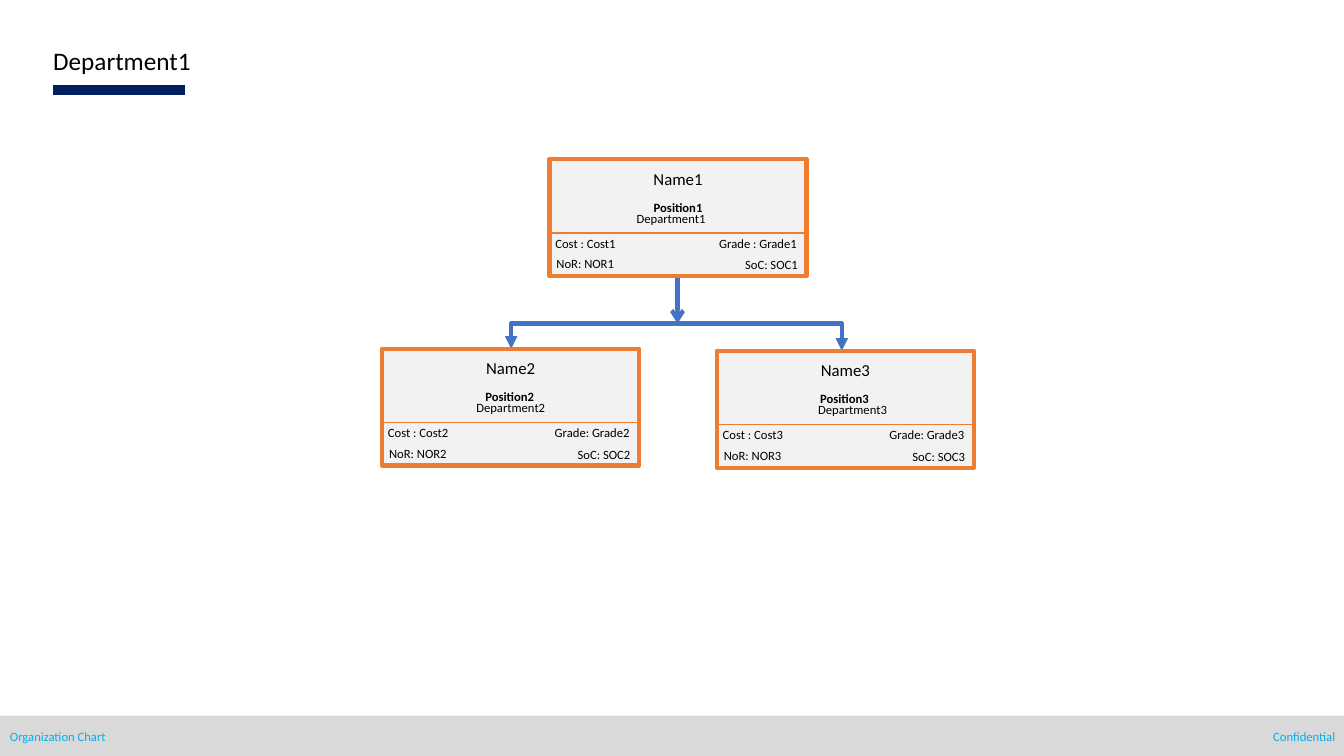
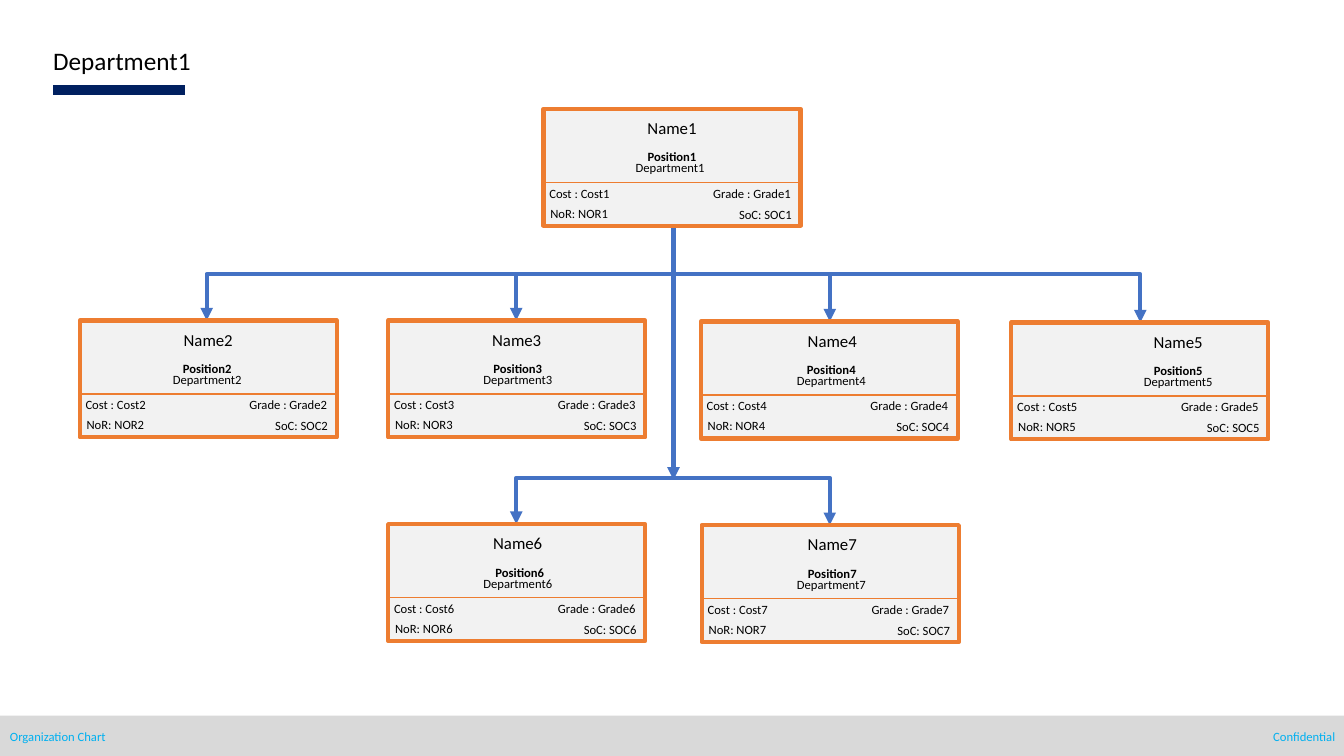
from lxml.etree import SubElement
from pptx import Presentation
from pptx.dml.color import RGBColor
from pptx.enum.shapes import MSO_CONNECTOR as CONN, MSO_SHAPE as SHAPE
from pptx.enum.text import MSO_AUTO_SIZE as AUTO, PP_ALIGN as ALIGN
from pptx.oxml.ns import qn
from pptx.util import Inches, Pt

W, H = 13.33, 7.5
CARD_W, CARD_H = 2.55, 1.16
TEXT_H = 0.25
FONT = "Calibri"
BLACK = RGBColor(0x00, 0x00, 0x00)
NAVY = RGBColor(0x00, 0x20, 0x60)
BAND = RGBColor(0xD9, 0xD9, 0xD9)
CYAN = RGBColor(0x00, 0xB0, 0xF0)
BLUE = RGBColor(0x44, 0x72, 0xC4)
ORANGE = RGBColor(0xED, 0x7D, 0x31)
PALE = RGBColor(0xF2, 0xF2, 0xF2)

TITLE = "Department1"
FOOTERS = [("Organization Chart", 0, ALIGN.LEFT), ("Confidential", 10.26, ALIGN.RIGHT)]

HEADINGS = [
    ("Name{}", 0.04, 0.3, {"size": Pt(12)}),
    ("Position{}", 0.35, TEXT_H, {"bold": True}),
    ("Department{}", 0.46, TEXT_H, {}),
]
DETAILS = [
    ("Cost : Cost{}", -0.04, 0.71, 1.57, ALIGN.LEFT),
    ("{}Grade{}", 1.33, 0.71, 1.22, ALIGN.RIGHT),
    ("NoR: NOR{}", -0.03, 0.91, 0.79, ALIGN.LEFT),
    ("SoC: SOC{}", 1.54, 0.92, 1.02, ALIGN.RIGHT),
]
DIVIDER_Y = 0.73
WIDE, TIGHT = "Grade : ", "Grade: "

CHARTS = [
    {
        "cards": [
            (5.45, 1.58, WIDE, (0, 0, -0.07)),
            (3.79, 3.46, TIGHT, (0, -0.01, 0)),
            (7.11, 3.48, TIGHT, (0, -0.01, 0.07)),
        ],
        "trunk": (6.72, 2.74, 3.21, "arrow"),
        "branches": [(3.21, {2: 5.07, 3: 8.35})],
    },
    {
        "cards": [
            (5.39, 1.08, WIDE, (0, 0, -0.02)),
            (0.79, 3.18, WIDE, (0, -0.01, -0.01)),
            (3.85, 3.18, WIDE, (0, 0.01, 0.01)),
            (6.95, 3.19, WIDE, (0.03, 0.02, 0.02)),
            (10.03, 3.2, WIDE, (0.38, 0.38, 0.38)),
            (3.85, 5.2, WIDE, (0.01, 0.03, 0.01)),
            (6.96, 5.21, WIDE, (0.02, 0.02, 0.01)),
        ],
        "trunk": (6.68, 2.25, 4.76, "triangle"),
        "branches": [
            (2.72, {2: 2.05, 3: 5.12, 4: 8.23, 5: 11.31}),
            (4.74, {6: 5.12, 7: 8.23}),
        ],
    },
]


def add_text(s, text, x, y, w, h=TEXT_H, align=ALIGN.LEFT, color=BLACK, **fmt):
    tf = s.shapes.add_textbox(*map(Inches, (x, y, w, h))).text_frame
    tf.word_wrap = True
    tf.auto_size = AUTO.SHAPE_TO_FIT_TEXT
    p = tf.paragraphs[0]
    p.alignment = align
    r = p.add_run()
    r.text = text
    for name, value in {"name": FONT, "size": Pt(9), **fmt}.items():
        setattr(r.font, name, value)
    r.font.color.rgb = color


def add_box(s, x, y, w, h, fill, line=None):
    sp = s.shapes.add_shape(SHAPE.RECTANGLE, *map(Inches, (x, y, w, h)))
    sp.shadow.inherit = False
    sp.fill.solid()
    sp.fill.fore_color.rgb = fill
    if line:
        sp.line.color.rgb = line
        sp.line.width = Pt(3)
    else:
        sp.line.fill.background()


def add_line(s, x1, y1, x2, y2, color, width, tail=None, kind=CONN.STRAIGHT):
    cn = s.shapes.add_connector(kind, *map(Inches, (x1, y1, x2, y2)))
    cn.line.color.rgb = color
    cn.line.width = Pt(width)
    spPr = cn.element.spPr
    if tail:
        SubElement(spPr.find(qn("a:ln")), qn("a:tailEnd"), type=tail)
    SubElement(spPr, qn("a:effectLst"))
    return spPr


def add_elbow(s, x1, y1, x2, y2):
    spPr = add_line(s, min(x1, x2), y1, max(x1, x2), y2, BLUE, 3, "triangle", CONN.ELBOW)
    spPr.find(qn("a:prstGeom")).set("prst", "bentConnector2")
    if x2 < x1:
        xfrm = spPr.find(qn("a:xfrm"))
        xfrm.set("rot", "10800000")
        xfrm.set("flipV", "1")


def add_frame(s):
    add_line(s, 0.53, 0.89, 1.84, 0.89, NAVY, 7)
    add_box(s, 0, 7.1, W, H - 7.1, BAND)
    for text, x, align in FOOTERS:
        add_text(s, text, x, 7.18, 3.08, align=align, color=CYAN)
    add_text(s, TITLE, 0.43, 0.4, 5.3, 0.41, size=Pt(18))


def add_card(s, number, x, y, grade, shifts):
    add_box(s, x, y, CARD_W, CARD_H, PALE, ORANGE)
    for (text, dy, h, fmt), dx in zip(HEADINGS, shifts):
        add_text(s, text.format(number), x + dx, y + dy, CARD_W, h, ALIGN.CENTER, **fmt)
    add_line(s, x, y + DIVIDER_Y, x + CARD_W, y + DIVIDER_Y, ORANGE, 1)
    for text, dx, dy, w, align in DETAILS:
        values = (grade, number) if "Grade" in text else (number,)
        add_text(s, text.format(*values), x + dx, y + dy, w, align=align)


def add_chart_slide(prs, chart):
    s = prs.slides.add_slide(prs.slide_layouts[6])
    add_frame(s)
    x, top, bottom, head = chart["trunk"]
    for bus, drops in chart["branches"]:
        for number, drop in drops.items():
            add_elbow(s, x, bus, drop, chart["cards"][number - 1][1])
    add_line(s, x, top, x, bottom, BLUE, 3, head)
    for number, card in enumerate(chart["cards"], 1):
        add_card(s, number, *card)


def main():
    prs = Presentation()
    prs.slide_width, prs.slide_height = Inches(W), Inches(H)
    for chart in CHARTS:
        add_chart_slide(prs, chart)
    prs.save("out.pptx")


if __name__ == "__main__":
    main()
